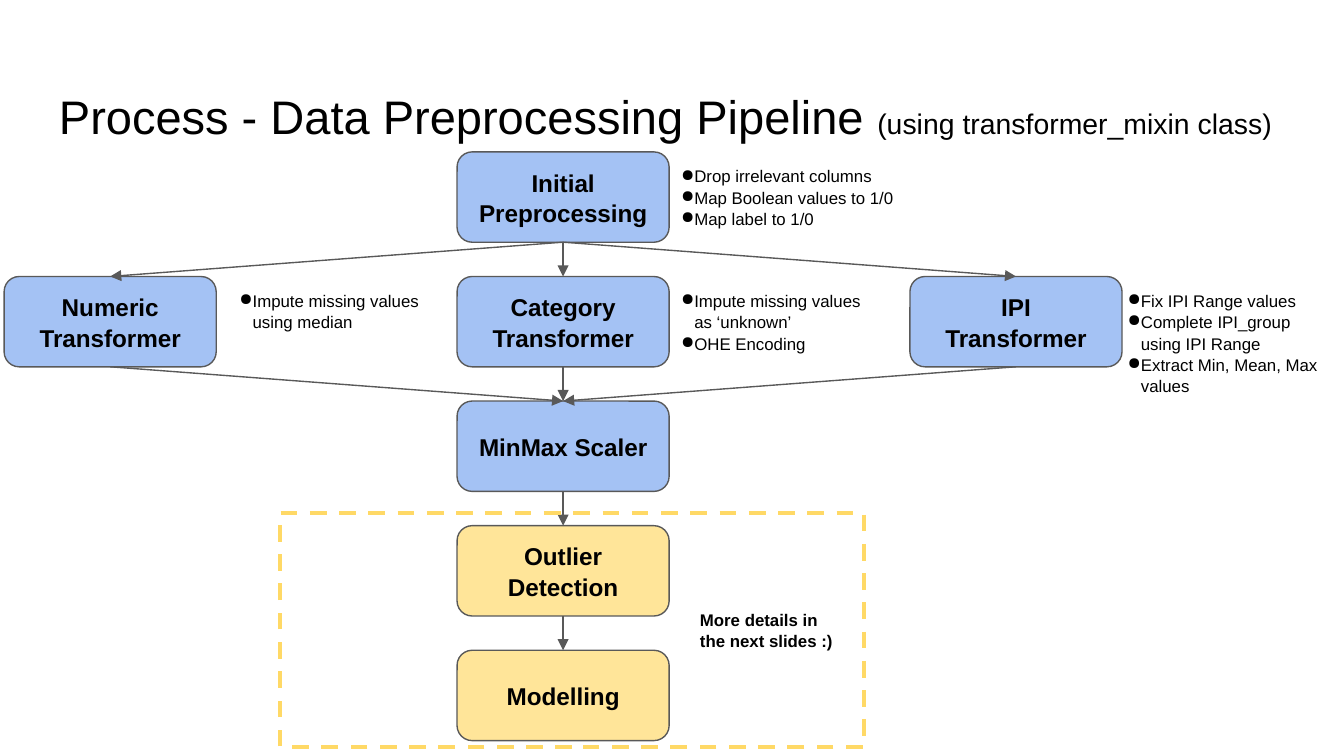
from lxml.etree import SubElement
from pptx import Presentation
from pptx.dml.color import RGBColor
from pptx.enum.dml import MSO_LINE
from pptx.enum.shapes import MSO_CONNECTOR, MSO_SHAPE
from pptx.enum.text import MSO_ANCHOR as ANCHOR, PP_ALIGN as ALIGN
from pptx.oxml.ns import qn
from pptx.util import Emu, Pt

PX = 9525 / 2  # 192 px to the inch


def px(*lengths):
    return [Emu(int(length * PX)) for length in lengths]


def color(value):
    return RGBColor.from_string(value)


presentation = Presentation()
presentation.slide_width, presentation.slide_height = px(1920, 1080)
slide = presentation.slides.add_slide(presentation.slide_layouts[5])
shapes = slide.shapes

# Title
title = shapes.title
title.left, title.top, title.width, title.height = px(65, 94, 1789, 121)
frame = title.text_frame
frame.word_wrap = True
frame.vertical_anchor = ANCHOR.BOTTOM
paragraph = frame.paragraphs[0]
paragraph.alignment = ALIGN.LEFT
for text, size in [
    ("Process - Data Preprocessing Pipeline ", 25.2),
    ("(using transformer_mixin class)", 15.2),
]:
    run = paragraph.add_run()
    run.text = text
    run.font.color.rgb = color("000000")
    for name, value in {"name": "Arial", "size": Pt(size)}.items():
        setattr(run.font, name, value)

# Pipeline steps on a grid: label, column, row, fill
BLUE, YELLOW = "A4C2F4", "FFE599"
steps = [
    ("Initial Preprocessing", 1, 0, BLUE),
    ("Numeric Transformer", 0, 1, BLUE),
    ("Category Transformer", 1, 1, BLUE),
    ("IPI Transformer", 2, 1, BLUE),
    ("MinMax Scaler", 1, 2, BLUE),
    ("Outlier Detection", 1, 3, YELLOW),
    ("Modelling", 1, 4, YELLOW),
]
boxes = {}
text_blocks = []  # frame, lines, size, bold, alignment, bulleted
for label, column, row, fill in steps:
    box = shapes.add_shape(
        MSO_SHAPE.ROUNDED_RECTANGLE, *px(6 + 647 * column, 217 + 178 * row, 303, 129)
    )
    box.shadow.inherit = False
    box.fill.solid()
    box.fill.fore_color.rgb = color(fill)
    box.line.color.rgb = color("595959")
    box.line.width = Pt(0.75)
    box.text_frame.vertical_anchor = ANCHOR.MIDDLE
    boxes[label] = box
    text_blocks.append((box.text_frame, [label], 13, True, ALIGN.CENTER, False))

# Arrows from the bottom of one step to the top of the next
transformers = ["Numeric Transformer", "Category Transformer", "IPI Transformer"]
arrows = [("Initial Preprocessing", name) for name in transformers]
arrows += [(name, "MinMax Scaler") for name in transformers]
arrows += [("MinMax Scaler", "Outlier Detection"), ("Outlier Detection", "Modelling")]
for start, end in arrows:
    arrow = shapes.add_connector(MSO_CONNECTOR.STRAIGHT, 0, 0, 0, 0)
    arrow.begin_connect(boxes[start], 2)
    arrow.end_connect(boxes[end], 0)
    arrow.line.color.rgb = color("595959")
    arrow.line.width = Pt(0.75)
    properties = arrow.element.spPr
    SubElement(properties.find(qn("a:ln")), qn("a:tailEnd"), type="triangle")
    SubElement(properties, qn("a:effectLst"))

# Dashed frame around the modelling steps
outline = shapes.add_shape(MSO_SHAPE.RECTANGLE, *px(400, 733, 835, 334))
outline.shadow.inherit = False
outline.fill.background()
outline.line.color.rgb = color("FFD966")
outline.line.width = Pt(2.25)
outline.line.dash_style = MSO_LINE.DASH

# Notes beside the steps: left, top, width, height, lines, bulleted
notes = [
    (954, 217, 459, 127,
     ["Drop irrelevant columns", "Map Boolean values to 1/0", "Map label to 1/0"], True),
    (323, 395, 319, 96, ["Impute missing values using median"], True),
    (954, 395, 319, 127,
     ["Impute missing values as ‘unknown’", "OHE Encoding"], True),
    (1592, 395, 319, 184,
     ["Fix IPI Range values", "Complete IPI_group using IPI Range",
      "Extract Min, Mean, Max values"], True),
    (981, 850, 238, 96, ["More details in the next slides :)"], False),
]
for left, top, width, height, lines, bulleted in notes:
    note = shapes.add_textbox(*px(left, top, width, height))
    text_blocks.append((note.text_frame, lines, 9, not bulleted, ALIGN.LEFT, bulleted))

# Text of all steps and notes
for frame, lines, size, bold, alignment, bulleted in text_blocks:
    frame.word_wrap = True
    for side in ("left", "top", "right", "bottom"):
        setattr(frame, f"margin_{side}", px(19)[0])
    for index, line in enumerate(lines):
        paragraph = frame.add_paragraph() if index else frame.paragraphs[0]
        paragraph.alignment = alignment
        paragraph.line_spacing = 1.05
        run = paragraph.add_run()
        run.text = line
        run.font.color.rgb = color("000000")
        for name, value in {"name": "Arial", "size": Pt(size), "bold": bold}.items():
            setattr(run.font, name, value)
        if bulleted:
            properties = paragraph._p.get_or_add_pPr()
            margin, indent = px(19, -21)
            properties.set("marL", str(margin))
            properties.set("indent", str(indent))
            bullet_color = SubElement(properties, qn("a:buClr"))
            SubElement(bullet_color, qn("a:srgbClr"), val="000000")
            SubElement(properties, qn("a:buChar"), char="●")

presentation.save("out.pptx")
